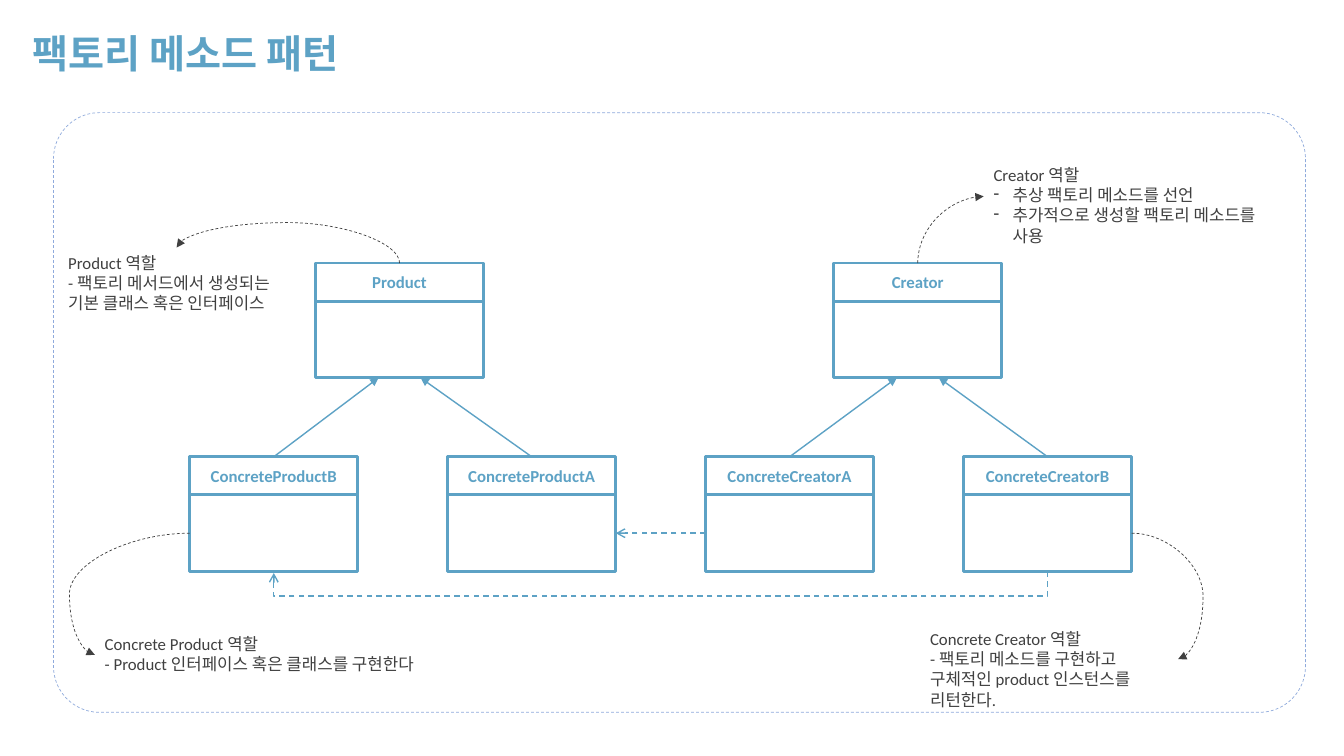
from lxml import etree
from pptx import Presentation
from pptx.dml.color import RGBColor
from pptx.enum.dml import MSO_LINE
from pptx.enum.shapes import MSO_CONNECTOR, MSO_SHAPE
from pptx.enum.text import MSO_ANCHOR, MSO_AUTO_SIZE, PP_ALIGN
from pptx.oxml.ns import qn
from pptx.util import Cm, Pt

BLUE, GRAY, FRAME = "5DA2C5", "404040", "8FAADC"
CLASS_W, HEAD_H, BODY_H = 4.24, 0.96, 1.93
CLASS_H = HEAD_H + BODY_H
CHILD_STEP, CHILD_DROP, ARROW_SPREAD = 6.5, 4.88, 0.53


def color(hex_code):
    """Turn a hex string into a colour."""
    return RGBColor.from_string(hex_code)


def style_line(line, hex_code, width, dashed=False):
    """Set the colour, width and dash of a line."""
    line.color.rgb = color(hex_code)
    line.width = Pt(width)
    if dashed:
        line.dash_style = MSO_LINE.DASH


def write(paragraph, text, size, hex_code, bold=False):
    """Add one formatted run to a paragraph."""
    run = paragraph.add_run()
    run.text = text
    run.font.name = "Calibri"
    run.font.size = Pt(size)
    run.font.bold = bold
    run.font.color.rgb = color(hex_code)


def outline(shapes, kind, box, hex_code, width, dashed=False):
    """Draw an unfilled preset shape."""
    shape = shapes.add_shape(kind, *map(Cm, box))
    shape.shadow.inherit = False
    shape.fill.background()
    style_line(shape.line, hex_code, width, dashed)
    return shape


def finish_arrow(connector, head, hex_code, width, dashed):
    """Style a connector and put an arrowhead at its end."""
    style_line(connector.line, hex_code, width, dashed)
    properties = connector._element.spPr
    etree.SubElement(properties.find(qn("a:ln")), qn("a:tailEnd"), type=head)
    etree.SubElement(properties, qn("a:effectLst"))


def straight_arrow(slide, start, end, head="triangle", dashed=False):
    """Draw a straight class relation."""
    connector = slide.shapes.add_connector(
        MSO_CONNECTOR.STRAIGHT, *map(Cm, (*start, *end)))
    finish_arrow(connector, head, BLUE, 1, dashed)


def routed_arrow(slide, preset, start, end, turn, flips="", reach=None,
                 head="triangle", hex_code=GRAY, width=0.5):
    """Draw a dashed bent or curved arrow that swings out by reach."""
    (x1, y1), (x2, y2) = start, end
    w, h = abs(x2 - x1), abs(y2 - y1)
    if turn in (90, 270):
        w, h = h, w
    left, top = (x1 + x2 - w) / 2, (y1 + y2 - h) / 2
    connector = slide.shapes.add_connector(
        MSO_CONNECTOR.CURVE, *map(Cm, (left, top, left + w, top + h)))
    properties = connector._element.spPr
    frame = properties.find(qn("a:xfrm"))
    frame.set("rot", str(turn * 60000))
    for axis in flips:
        frame.set("flip" + axis, "1")
    geometry = properties.find(qn("a:prstGeom"))
    geometry.set("prst", preset)
    if reach is not None:
        etree.SubElement(geometry.find(qn("a:avLst")), qn("a:gd"),
                         name="adj1", fmla=f"val {round(reach / w * 100000)}")
    finish_arrow(connector, head, hex_code, width, True)


def class_box(slide, name, left, top):
    """Draw a class with its name compartment and empty body."""
    group = slide.shapes.add_group_shape()
    head = outline(group.shapes, MSO_SHAPE.RECTANGLE,
                   (left, top, CLASS_W, HEAD_H), BLUE, 2)
    frame = head.text_frame
    frame.word_wrap = False
    frame.vertical_anchor = MSO_ANCHOR.MIDDLE
    frame.paragraphs[0].alignment = PP_ALIGN.CENTER
    write(frame.paragraphs[0], name, 12, BLUE, True)
    outline(group.shapes, MSO_SHAPE.RECTANGLE,
            (left, top + HEAD_H, CLASS_W, BODY_H), BLUE, 2)


def class_family(slide, left, top, parent, parent_offset, children):
    """Draw a parent class with two subclasses pointing at it."""
    class_box(slide, parent, left + parent_offset, top)
    middle = left + parent_offset + CLASS_W / 2
    child_top = top + CHILD_DROP
    for index, name in enumerate(children):
        child_left = left + index * CHILD_STEP
        class_box(slide, name, child_left, child_top)
        straight_arrow(slide, (child_left + CLASS_W / 2, child_top),
                       (middle + (2 * index - 1) * ARROW_SPREAD, top + CLASS_H))


def role_note(slide, box, lines, bulleted=False):
    """Write a role heading and its description."""
    frame = slide.shapes.add_textbox(*map(Cm, box)).text_frame
    frame.word_wrap = True
    frame.auto_size = MSO_AUTO_SIZE.SHAPE_TO_FIT_TEXT
    for index, text in enumerate(lines):
        paragraph = frame.add_paragraph() if index else frame.paragraphs[0]
        write(paragraph, text, 12, GRAY)
        if bulleted and index:
            properties = paragraph._p.get_or_add_pPr()
            properties.set("marL", str(Cm(0.48)))
            properties.set("indent", str(-Cm(0.48)))
            etree.SubElement(properties, qn("a:buChar"), char="-")


def heading(slide, box, text):
    """Place and format the slide title."""
    title = slide.shapes.title
    title.left, title.top, title.width, title.height = map(Cm, box)
    frame = title.text_frame
    frame.auto_size = MSO_AUTO_SIZE.NONE
    frame.vertical_anchor = MSO_ANCHOR.MIDDLE
    frame.paragraphs[0].alignment = PP_ALIGN.LEFT
    write(frame.paragraphs[0], text, 28, BLUE, True)


def diagram(slide, left, top, width, height):
    """Draw the framed class diagram with its role notes."""
    panel = outline(slide.shapes, MSO_SHAPE.ROUNDED_RECTANGLE,
                    (left, top, width, height), FRAME, 0.5, True)
    panel.adjustments[0] = 1.16 / height

    def at(x, y):
        return left + x, top + y

    family_y = 3.79
    child_y = family_y + CHILD_DROP
    body_y = child_y + HEAD_H + BODY_H / 2
    bottom_y = child_y + CLASS_H
    product_x, creator_x = 3.43, 3.43 + 2 * CHILD_STEP
    class_family(slide, *at(product_x, family_y), "Product", 3.17,
                 ("ConcreteProductB", "ConcreteProductA"))
    class_family(slide, *at(creator_x, family_y), "Creator", 3.23,
                 ("ConcreteCreatorA", "ConcreteCreatorB"))

    straight_arrow(slide, at(creator_x, body_y),
                   at(product_x + CHILD_STEP + CLASS_W, body_y), "arrow", True)
    last_x = creator_x + CHILD_STEP
    routed_arrow(slide, "bentConnector3",
                 at(last_x + CLASS_W / 2, bottom_y),
                 at(product_x + CLASS_W / 2, bottom_y + 0.04),
                 90, reach=0.62, head="arrow", hex_code=BLUE, width=1)

    routed_arrow(slide, "curvedConnector3", at(8.72, family_y), at(3.1, 3.4),
                 270, "V", 1.02)
    routed_arrow(slide, "curvedConnector2", at(21.78, family_y),
                 at(23.44, 2.11), 90, "HV")
    routed_arrow(slide, "curvedConnector3", at(product_x, body_y),
                 at(1.04, 13.66), 180, "V", 3.03)
    routed_arrow(slide, "curvedConnector3", at(last_x + CLASS_W, body_y),
                 at(28.34, 13.77), 0, reach=1.8)

    role_note(slide, (*at(0.12, 3.4), 5.97, 1.8),
              ("Product 역할",
               "- 팩토리 메서드에서 생성되는 기본 클래스 혹은 인터페이스"))
    role_note(slide, (*at(23.44, 1.19), 7.72, 1.8),
              ("Creator 역할", "추상 팩토리 메소드를 선언",
               "추가적으로 생성할 팩토리 메소드를 사용"), True)
    role_note(slide, (*at(1.04, 13.0), 9.09, 1.27),
              ("Concrete Product 역할",
               "- Product 인터페이스 혹은 클래스를 구현한다"))
    role_note(slide, (*at(21.84, 12.88), 6.5, 1.8),
              ("Concrete Creator 역할",
               "- 팩토리 메소드를 구현하고 구체적인 product 인스턴스를 리턴한다."))


def main():
    """Build the slide and save it."""
    deck = Presentation()
    deck.slide_width, deck.slide_height = Cm(33.87), Cm(19.05)
    slide = deck.slides.add_slide(deck.slide_layouts[5])
    heading(slide, (0.56, 0.61, 13.59, 1.45), "팩토리 메소드 패턴")
    diagram(slide, 1.35, 2.84, 31.55, 15.11)
    deck.save("out.pptx")


main()
